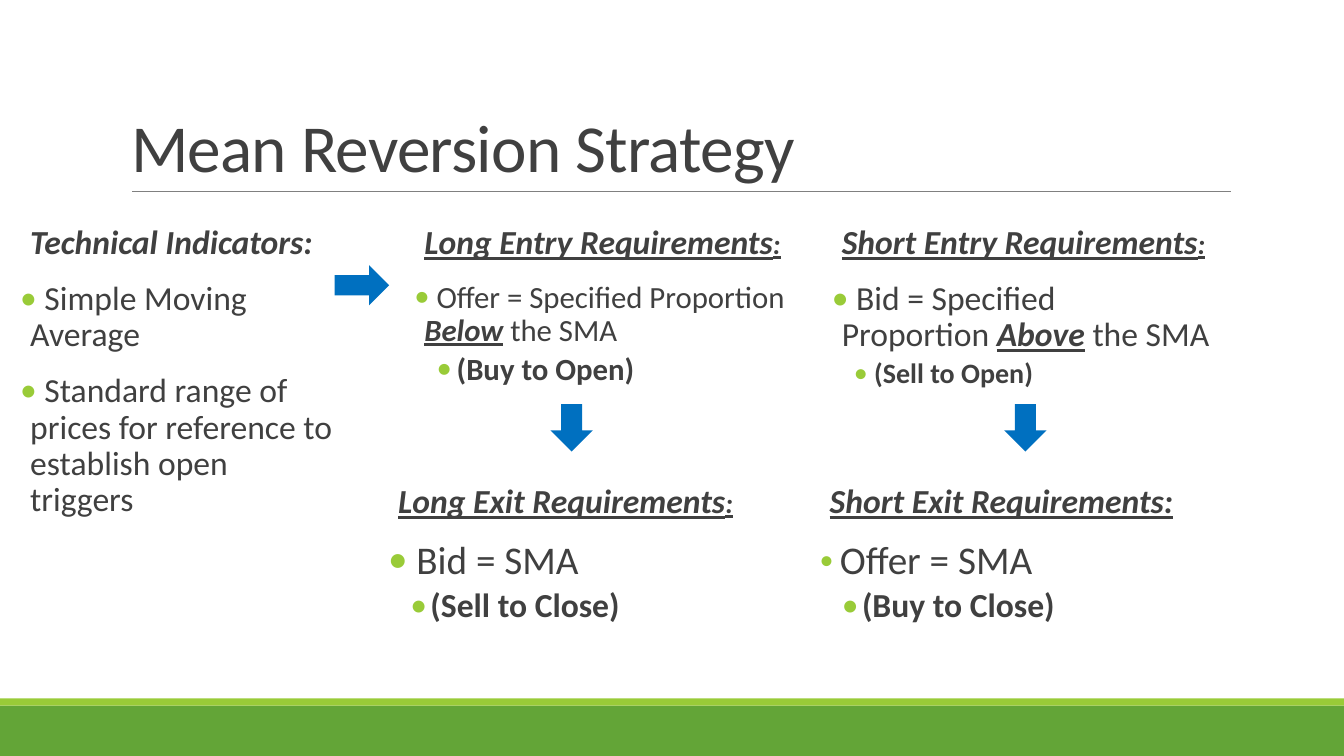
from lxml import etree
from pptx import Presentation
from pptx.dml.color import RGBColor
from pptx.enum import shapes, text
from pptx.oxml import ns
from pptx.util import Inches, Pt

DARK = RGBColor(0x40, 0x40, 0x40)
GREEN = RGBColor(0x63, 0xA5, 0x37)
LIME = RGBColor(0x99, 0xCB, 0x38)
GRAY = RGBColor(0x80, 0x80, 0x80)
BLUE = RGBColor(0x00, 0x70, 0xC0)
FONT = "Calibri"
NB = "\u00a0"

TITLE = "Mean Reversion Strategy"
HEAD, ITEM, ACTION = "head", "item", "action"
# style: left margin, first-line indent, space before, space after, level
STYLES = {
    HEAD: (0.1, 0, 12, 2, 0),
    ITEM: (0.1, -0.1, 12, 2, 0),
    ACTION: (0.42, -0.2, 2, 4, 1),
}
BLOCKS = [
    ((0.2, 2.19, 3.11, 2.39), [
        (HEAD, [("Technical Indicators:", 24, "bi")]),
        (ITEM, [(NB + "Simple Moving Average", 24, "")]),
        (ITEM, [(NB + "Standard range of prices for reference to "
                 "establish open triggers", 24, "")]),
    ]),
    ((4.11, 2.19, 3.7, 1.82), [
        (HEAD, [("Long Entry Requirements", 24, "biu"), (":", 20, "biu")]),
        (ITEM, [(NB + "Offer = Specified Proportion ", 22, ""),
                ("Below", 22, "biu"), (" the SMA", 22, "")]),
        (ACTION, [("(Buy to Open)", 22, "b")]),
    ]),
    ((8.25, 2.19, 3.94, 1.82), [
        (HEAD, [("Short Entry Requirements", 24, "biu"), (":", 20, "biu")]),
        (ITEM, [(NB + "Bid = Specified Proportion" + NB, 24, ""),
                ("Above", 24, "biu"), (NB + "the SMA", 24, "")]),
        (ACTION, [("(Sell to Open)", 20, "b")]),
    ]),
    ((3.85, 4.76, 3.64, 1.65), [
        (HEAD, [("Long Exit Requirements", 24, "biu"), (":", 20, "biu")]),
        (ITEM, [(NB + "Bid = SMA", 28, "")]),
        (ACTION, [("(Sell to Close)", 24, "b")]),
    ]),
    ((8.13, 4.76, 4.07, 1.65), [
        (HEAD, [("Short Exit Requirements:", 24, "biu")]),
        (ITEM, [(NB, 20, ""), ("Offer = SMA", 28, "")]),
        (ACTION, [("(Buy to Close)", 24, "b")]),
    ]),
]
SHAPE = shapes.MSO_SHAPE
BANDS = [(SHAPE.RECTANGLE, (0, 7, 13.33, 0.5), GREEN),
         (SHAPE.RECTANGLE, (0, 6.93, 13.33, 0.07), LIME)]
ARROWS = [(SHAPE.RIGHT_ARROW, (3.32, 2.63, 0.54, 0.4), BLUE)] + [
    (SHAPE.DOWN_ARROW, (x, 4.01, 0.42, 0.47), BLUE) for x in (5.46, 9.96)]


def inches(box):
    """Convert a box to lengths."""
    return [Inches(v) for v in box]


def add_filled(s, kind, box, color):
    """Add a flat preset shape."""
    sp = s.shapes.add_shape(kind, *inches(box))
    sp.shadow.inherit = False
    sp.fill.solid()
    sp.fill.fore_color.rgb = color
    sp.line.fill.background()


def add_run(p, words, size, marks):
    """Add a run with bold, italic and underline marks."""
    r = p.add_run()
    r.text = words
    f = r.font
    f.name, f.size, f.color.rgb = FONT, Pt(size), DARK
    f.bold, f.italic, f.underline = ("b" in marks, "i" in marks, "u" in marks)
    return r


def style_paragraph(p, style):
    """Set spacing, indents and bullet."""
    left, indent, before, after, p.level = STYLES[style]
    p.line_spacing = 0.9
    p.space_before, p.space_after = Pt(before), Pt(after)
    pr = p._p.get_or_add_pPr()
    pr.set("marL", str(Inches(left)))
    pr.set("indent", str(Inches(indent)))
    if style == HEAD:
        etree.SubElement(pr, ns.qn("a:buNone"))
        return
    color = etree.SubElement(pr, ns.qn("a:buClr"))
    etree.SubElement(color, ns.qn("a:srgbClr"), val=str(LIME))
    etree.SubElement(pr, ns.qn("a:buFont"), typeface=FONT)
    etree.SubElement(pr, ns.qn("a:buChar"), char="\u2022")


def add_block(s, box, paragraphs):
    """Add one text block."""
    tf = s.shapes.add_textbox(*inches(box)).text_frame
    tf.word_wrap = True
    tf.margin_left = tf.margin_right = 0
    for i, (style, runs) in enumerate(paragraphs):
        p = tf.add_paragraph() if i else tf.paragraphs[0]
        style_paragraph(p, style)
        for run in runs:
            add_run(p, *run)


def set_title(s):
    """Place and format the title."""
    sp = s.shapes.title
    sp.left, sp.top, sp.width, sp.height = inches((1.2, 0.31, 11, 1.59))
    tf = sp.text_frame
    tf.auto_size = text.MSO_AUTO_SIZE.NONE
    tf.vertical_anchor = text.MSO_ANCHOR.BOTTOM
    p = tf.paragraphs[0]
    p.alignment = text.PP_ALIGN.LEFT
    p.line_spacing = 0.85
    r = add_run(p, TITLE, 48, "")
    r.font._element.set("spc", "-50")


def add_rule(s):
    """Draw the line under the title."""
    line = s.shapes.add_connector(shapes.MSO_CONNECTOR.STRAIGHT,
                                  *inches((1.31, 1.9, 12.21, 1.9)))
    line.line.color.rgb = GRAY
    line.line.width = Pt(0.5)
    etree.SubElement(line._element.spPr, ns.qn("a:effectLst"))


prs = Presentation()
prs.slide_width, prs.slide_height = Inches(13.33), Inches(7.5)
s = prs.slides.add_slide(prs.slide_layouts[5])
for band in BANDS:
    add_filled(s, *band)
add_rule(s)
set_title(s)
for block in BLOCKS:
    add_block(s, *block)
for arrow in ARROWS:
    add_filled(s, *arrow)
prs.save("out.pptx")
